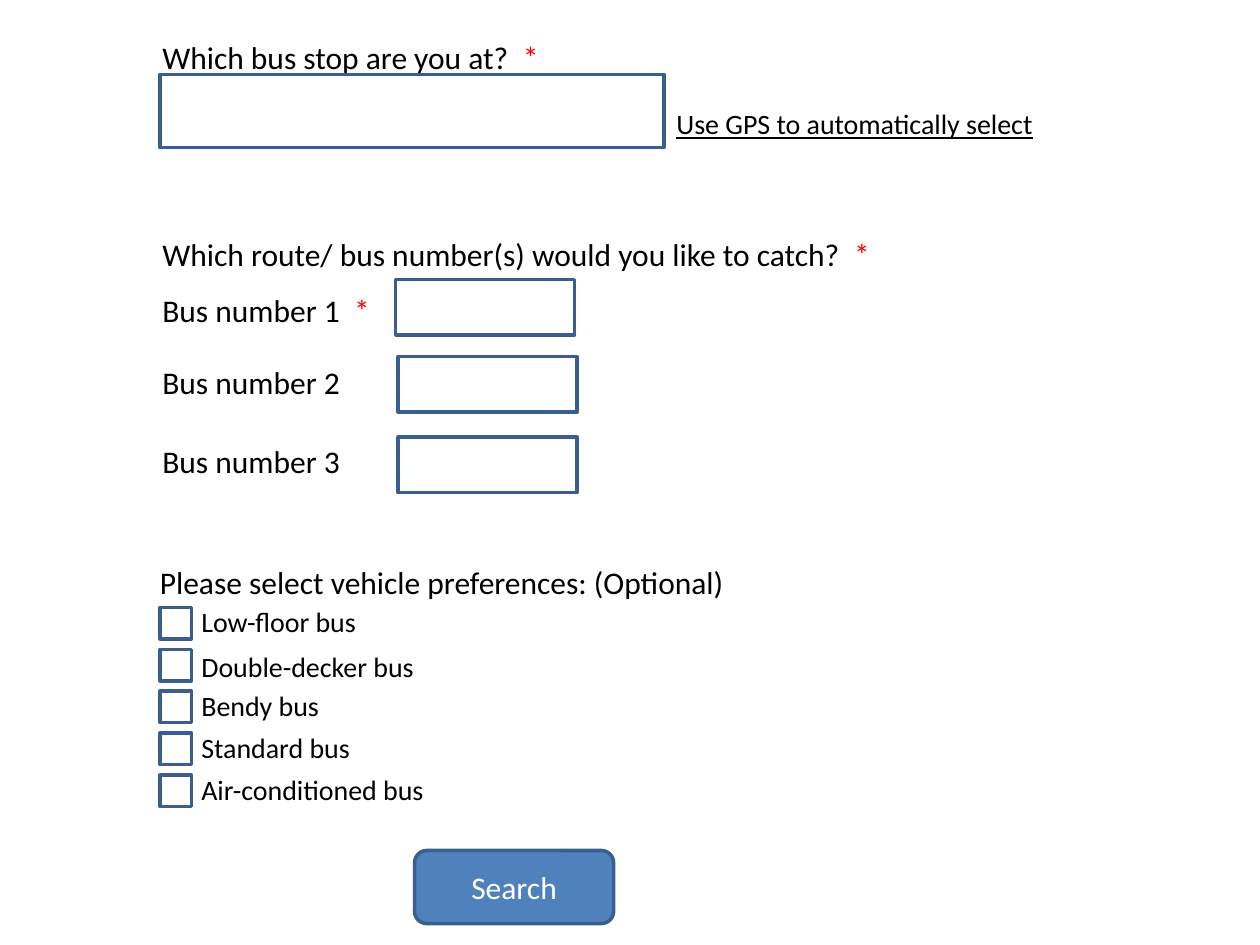
import dataclasses

import pptx
import pptx.dml.color
import pptx.enum.shapes
import pptx.enum.text
import pptx.util

Inches = pptx.util.Inches
Shapes = pptx.enum.shapes.MSO_SHAPE


@dataclasses.dataclass(frozen=True)
class Theme:
    """Colours and type sizes of the form."""
    font: str = "Calibri"
    text: str = "000000"
    required: str = "FF0000"
    outline: str = "3A5F8C"
    button: str = "4F81BD"
    button_text: str = "FFFFFF"
    label_size: int = 18
    option_size: int = 16
    outline_width: int = 2


THEME = Theme()


def rgb(value):
    """Turn a hexadecimal string into a colour."""
    return pptx.dml.color.RGBColor.from_string(value)


def style_run(run, size, color, underline=None):
    """Format one run of text."""
    run.font.name = THEME.font
    run.font.size = pptx.util.Pt(size)
    run.font.color.rgb = rgb(color)
    run.font.underline = underline


def add_label(slide, left, top, width, text, size=THEME.label_size,
              required=False, underline=None):
    """Add a line of text, with a red asterisk when required."""
    height = 0.4 if size == THEME.label_size else 0.37
    label = slide.shapes.add_textbox(
        Inches(left), Inches(top), Inches(width), Inches(height))
    label.text_frame.word_wrap = True
    label.text_frame.auto_size = pptx.enum.text.MSO_AUTO_SIZE.SHAPE_TO_FIT_TEXT
    paragraph = label.text_frame.paragraphs[0]
    paragraph.text = text + "  " if required else text
    style_run(paragraph.runs[0], size, THEME.text, underline)
    if required:
        asterisk = paragraph.add_run()
        asterisk.text = "*"
        style_run(asterisk, size, THEME.required)


def add_box(slide, left, top, width, height, kind=Shapes.RECTANGLE, fill=None):
    """Add an outlined box, empty unless a fill is given."""
    box = slide.shapes.add_shape(
        kind, Inches(left), Inches(top), Inches(width), Inches(height))
    box.shadow.inherit = False
    box.line.color.rgb = rgb(THEME.outline)
    box.line.width = pptx.util.Pt(THEME.outline_width)
    if fill:
        box.fill.solid()
        box.fill.fore_color.rgb = rgb(fill)
    else:
        box.fill.background()
    return box


def add_stop_question(slide, left, top):
    """Add the bus stop question with its field and GPS link."""
    add_label(slide, left, top, 3.67, "Which bus stop are you at?", required=True)
    add_box(slide, left + 0.08, top + 0.34, 4, 0.58)
    add_label(slide, left + 4.08, top + 0.55, 3.25,
              "Use GPS to automatically select", THEME.option_size, underline=True)


def add_route_question(slide, left, top):
    """Add the route question with three numbered fields."""
    add_label(slide, left, top, 5.92,
              "Which route/ bus number(s) would you like to catch?", required=True)
    rows = [(0.44, 1.95, 0.4), (1.01, 1.97, 1.01), (1.64, 1.97, 1.65)]
    for number, (label_top, box_left, box_top) in enumerate(rows, start=1):
        add_label(slide, left, top + label_top, 2, f"Bus number {number}",
                  required=number == 1)
        add_box(slide, left + box_left, top + box_top, 1.42, 0.44)


def add_preferences(slide, left, top):
    """Add the optional list of vehicle check boxes."""
    add_label(slide, left, top, 5.92, "Please select vehicle preferences: (Optional)")
    options = [("Low-floor bus", 0.33), ("Double-decker bus", 0.35),
               ("Bendy bus", 0.33), ("Standard bus", 0.33),
               ("Air-conditioned bus", 0.33)]
    for index, (option, label_offset) in enumerate(options):
        row_top = top + index * 0.333
        add_box(slide, left + 0.1, row_top + 0.4, 0.25, 0.25)
        add_label(slide, left + 0.33, row_top + label_offset, 2.1, option,
                  THEME.option_size)


def add_search_button(slide, left, top, width, height):
    """Add the rounded search button."""
    button = add_box(slide, left, top, width, height,
                     Shapes.ROUNDED_RECTANGLE, THEME.button)
    button.text_frame.text = "Search"
    button.text_frame.vertical_anchor = pptx.enum.text.MSO_ANCHOR.MIDDLE
    paragraph = button.text_frame.paragraphs[0]
    paragraph.alignment = pptx.enum.text.PP_ALIGN.CENTER
    style_run(paragraph.runs[0], THEME.label_size, THEME.button_text)


def main():
    """Build the bus search form and save it."""
    presentation = pptx.Presentation()
    presentation.slide_width = Inches(10)
    presentation.slide_height = Inches(7.5)
    slide = presentation.slides.add_slide(presentation.slide_layouts[6])
    add_stop_question(slide, 1.19, 0.25)
    add_route_question(slide, 1.19, 1.82)
    add_preferences(slide, 1.17, 4.42)
    add_search_button(slide, 3.29, 6.75, 1.58, 0.58)
    presentation.save("out.pptx")


main()
